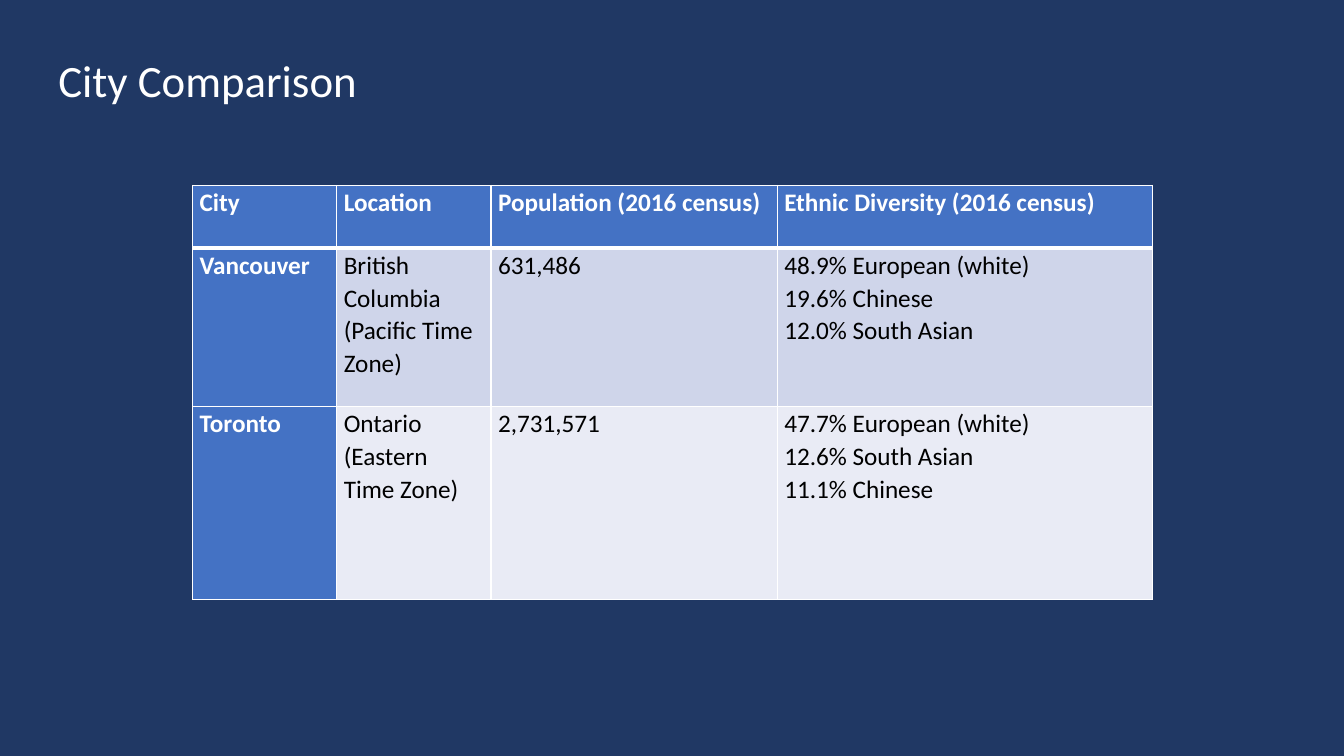
from dataclasses import dataclass

from lxml.etree import SubElement
from pptx import Presentation
from pptx.dml.color import RGBColor
from pptx.enum.text import MSO_ANCHOR, MSO_AUTO_SIZE
from pptx.oxml.ns import qn
from pptx.util import Inches, Pt


@dataclass(frozen=True)
class Theme:
    font: str = "Calibri"
    title_size: int = 32
    table_size: int = 18
    background: str = "203864"
    light: str = "FFFFFF"
    dark: str = "000000"
    header: str = "4472C4"
    bands: tuple = ("CFD5EA", "E9EBF5")
    thin: int = 1
    thick: int = 3


THEME = Theme()
SLIDE_WIDTH, SLIDE_HEIGHT = Inches(13.33), Inches(7.5)

# Lengths are percentages of the slide's width or height.
TITLE_BOX = (3.6, 6.27, 92.35, 8.53)
TABLE_CORNER = (14.33, 24.53)
COLUMN_WIDTHS = (10.73, 11.48, 21.3, 27.91)
ROW_HEIGHTS = (8.27, 20.93, 25.6)

CITY_ROWS = (
    ("City", "Location", "Population (2016 census)", "Ethnic Diversity (2016 census)"),
    ("Vancouver", "British Columbia (Pacific Time Zone)", "631,486",
     "48.9% European (white)\n19.6% Chinese\n12.0% South Asian"),
    ("Toronto", "Ontario (Eastern Time Zone)", "2,731,571",
     "47.7% European (white)\n12.6% South Asian\n11.1% Chinese"),
)


def across(percent):
    return round(SLIDE_WIDTH * percent / 100)


def down(percent):
    return round(SLIDE_HEIGHT * percent / 100)


def set_attributes(target, values):
    for name, value in values.items():
        setattr(target, name, value)


def write_text(frame, text, size, color, bold=False, line_spacing=1.0):
    """Fill a text frame, one paragraph for each line of text."""
    frame.text = text
    for paragraph in frame.paragraphs:
        paragraph.line_spacing = line_spacing
        for run in paragraph.runs:
            set_attributes(run.font, {"name": THEME.font, "size": Pt(size), "bold": bold})
            run.font.color.rgb = RGBColor.from_string(color)


def set_borders(cell, top, bottom):
    """Draw the four borders; the lines must come before the cell's fill."""
    properties = cell._tc.get_or_add_tcPr()
    widths = {"a:lnL": THEME.thin, "a:lnR": THEME.thin, "a:lnT": top, "a:lnB": bottom}
    for tag, width in widths.items():
        line = SubElement(properties, qn(tag), w=str(Pt(width)))
        fill = SubElement(line, qn("a:solidFill"))
        SubElement(fill, qn("a:srgbClr"), val=THEME.light)


def add_title(slide, text):
    left, top, width, height = TITLE_BOX
    box = slide.shapes.add_textbox(across(left), down(top), across(width), down(height))
    set_attributes(box.text_frame, {
        "word_wrap": True, "auto_size": MSO_AUTO_SIZE.SHAPE_TO_FIT_TEXT})
    write_text(box.text_frame, text, THEME.title_size, THEME.light)


def format_cell(cell, text, row, column):
    is_heading = row == 0 or column == 0
    set_attributes(cell, {
        "margin_left": Inches(0.07), "margin_right": Inches(0.07),
        "margin_top": 0, "margin_bottom": 0, "vertical_anchor": MSO_ANCHOR.TOP})
    write_text(cell.text_frame, text, THEME.table_size,
               THEME.light if is_heading else THEME.dark, is_heading, 1.07)
    set_borders(cell, THEME.thick if row == 1 else THEME.thin,
                THEME.thick if row == 0 else THEME.thin)
    cell.fill.solid()
    color = THEME.header if is_heading else THEME.bands[(row - 1) % 2]
    cell.fill.fore_color.rgb = RGBColor.from_string(color)


def add_city_table(slide):
    left, top = TABLE_CORNER
    frame = slide.shapes.add_table(
        len(ROW_HEIGHTS), len(COLUMN_WIDTHS), across(left), down(top),
        across(sum(COLUMN_WIDTHS)), down(sum(ROW_HEIGHTS)))
    table = frame.table
    table.first_col = True
    for column, width in zip(table.columns, COLUMN_WIDTHS):
        column.width = across(width)
    for row, height in zip(table.rows, ROW_HEIGHTS):
        row.height = down(height)
    for row, texts in enumerate(CITY_ROWS):
        for column, text in enumerate(texts):
            format_cell(table.cell(row, column), text, row, column)


def main():
    presentation = Presentation()
    set_attributes(presentation, {"slide_width": SLIDE_WIDTH, "slide_height": SLIDE_HEIGHT})
    slide = presentation.slides.add_slide(presentation.slide_layouts[6])
    slide.background.fill.solid()
    slide.background.fill.fore_color.rgb = RGBColor.from_string(THEME.background)
    add_title(slide, "City Comparison")
    add_city_table(slide)
    presentation.save("out.pptx")


if __name__ == "__main__":
    main()
